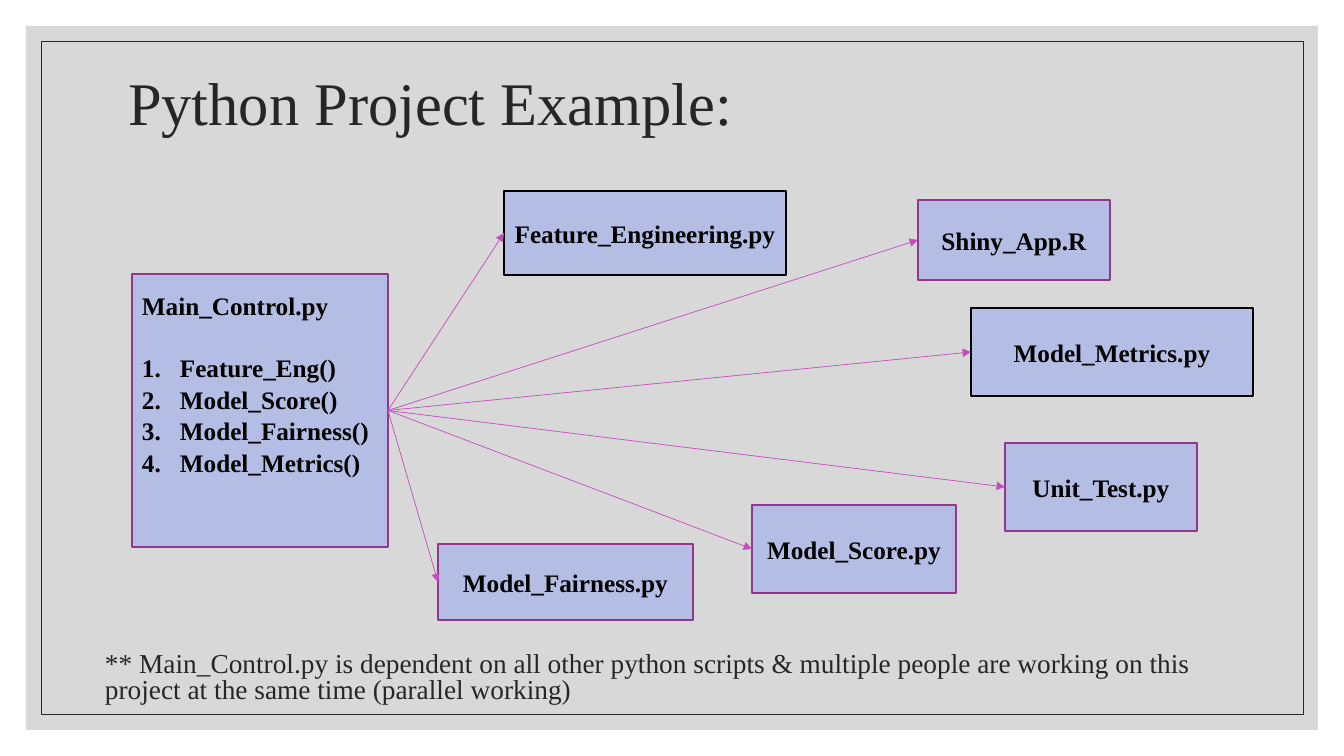
from lxml.etree import SubElement
from pptx import Presentation
from pptx.dml.color import RGBColor
from pptx.enum.shapes import MSO_CONNECTOR as Connector, MSO_SHAPE as Shape
from pptx.enum.text import MSO_ANCHOR as Anchor, MSO_AUTO_SIZE as AutoSize, PP_ALIGN as Align
from pptx.oxml.ns import qn
from pptx.util import Pt

EMU_PER_PX = 914400 / 100.8
FONT = "Times New Roman"
INK, BLACK = "262626", "000000"
PANEL, BOX, PLUM, PINK = "BFBFBF", "B4BDE3", "91388D", "C44CBF"
RIGHT, LEFT = 3, 1

MAIN_AREA = (132, 274, 256, 273)
STEPS = ["Feature_Eng()", "Model_Score()", "Model_Fairness()", "Model_Metrics()"]
SCRIPTS = [
    ("Unit_Test.py", (1005, 443, 192, 88), PLUM),
    ("Feature_Engineering.py", (504, 191, 282, 84), BLACK),
    ("Model_Score.py", (752, 505, 204, 88), PLUM),
    ("Shiny_App.R", (918, 200, 192, 80), PLUM),
    ("Model_Metrics.py", (971, 308, 282, 88), BLACK),
    ("Model_Fairness.py", (438, 544, 255, 76), PLUM),
]
FOOTNOTE = ("** Main_Control.py is dependent on all other python scripts & multiple "
            "people are working on this project at the same time (parallel working)")


def px(length):
    """Convert pixels to EMU."""
    return round(length * EMU_PER_PX)


def color(value):
    """Turn a hex string into a colour."""
    return RGBColor.from_string(value)


def write(paragraph, text, *, size=18, ink=BLACK, bold=False, align=Align.LEFT,
          spacing=None, after=0):
    """Put formatted text into a paragraph."""
    run = paragraph.add_run()
    run.text = text
    run.font.name = FONT
    run.font.size = Pt(size)
    run.font.bold = bold
    run.font.color.rgb = color(ink)
    paragraph.alignment = align
    paragraph.space_before = Pt(0)
    paragraph.space_after = Pt(after)
    if spacing:
        paragraph.line_spacing = spacing


def number(paragraph, indent=38):
    """Give a paragraph an automatic number with a hanging indent."""
    properties = paragraph._p.get_or_add_pPr()
    properties.set("marL", str(px(indent)))
    properties.set("indent", str(-px(indent)))
    SubElement(properties, qn("a:buFont"), typeface=FONT)
    SubElement(properties, qn("a:buAutoNum"), type="arabicPeriod")


def add_box(slide, area, *, fill=None, outline=None, weight=1, opacity=100):
    """Draw a rectangle with an optional fill and outline."""
    box = slide.shapes.add_shape(Shape.RECTANGLE, *map(px, area))
    box.shadow.inherit = False
    if fill:
        box.fill.solid()
        box.fill.fore_color.rgb = color(fill)
        if opacity < 100:
            tint = box.fill._xPr.find(qn("a:solidFill"))[0]
            SubElement(tint, qn("a:alpha"), val=str(opacity * 1000))
    else:
        box.fill.background()
    if outline:
        box.line.color.rgb = color(outline)
        box.line.width = Pt(weight)
    else:
        box.line.fill.background()
    return box


def add_title(slide, text):
    """Fill the title placeholder and bring it in front of the backdrop."""
    title = slide.shapes.title
    title.left, title.top, title.width, title.height = map(px, (118, 71, 1109, 70))
    frame = title.text_frame
    frame.auto_size = AutoSize.NONE
    frame.vertical_anchor = Anchor.MIDDLE
    write(frame.paragraphs[0], text, size=43.2, ink=INK, spacing=0.9)
    title.element.getparent().append(title.element)


def add_main_control(slide):
    """Draw the controlling script with its numbered steps."""
    main_control = add_box(slide, MAIN_AREA, fill=BOX, outline=PLUM)
    frame = main_control.text_frame
    frame.word_wrap = True
    frame.vertical_anchor = Anchor.TOP
    frame.margin_top = px(16)
    write(frame.paragraphs[0], "Main_Control.py", bold=True, after=23)
    for step in STEPS:
        entry = frame.add_paragraph()
        write(entry, step, bold=True, after=1)
        number(entry)
    return main_control


def add_script(slide, name, area, outline):
    """Draw a box for one dependent script."""
    script = add_box(slide, area, fill=BOX, outline=outline)
    frame = script.text_frame
    frame.word_wrap = False
    frame.vertical_anchor = Anchor.MIDDLE
    write(frame.paragraphs[0], name, bold=True, align=Align.CENTER)
    return script


def add_arrow(slide, source, target):
    """Join the right side of one box to the left side of another."""
    arrow = slide.shapes.add_connector(Connector.STRAIGHT, 0, 0, 0, 0)
    arrow.begin_connect(source, RIGHT)
    arrow.end_connect(target, LEFT)
    arrow.line.color.rgb = color(PINK)
    arrow.line.width = Pt(0.5)
    SubElement(arrow.line._get_or_add_ln(), qn("a:tailEnd"), type="triangle")
    SubElement(arrow._element.spPr, qn("a:effectLst"))


def add_footnote(slide, text):
    """Write the remark under the diagram."""
    frame = slide.shapes.add_textbox(*map(px, (95, 644, 1109, 70))).text_frame
    frame.word_wrap = True
    frame.vertical_anchor = Anchor.MIDDLE
    write(frame.paragraphs[0], text, size=19.5, ink=INK, spacing=0.8)


def main():
    """Build the slide and save it."""
    deck = Presentation()
    deck.slide_width, deck.slide_height = px(1344), px(756)
    slide = deck.slides.add_slide(deck.slide_layouts[5])
    add_box(slide, (26, 26, 1292, 704), fill=PANEL, opacity=60)
    add_box(slide, (41, 41, 1262, 673), outline=INK, weight=0.5)
    add_title(slide, "Python Project Example:")
    main_control = add_main_control(slide)
    for name, area, outline in SCRIPTS:
        script = add_script(slide, name, area, outline)
        add_arrow(slide, main_control, script)
    add_footnote(slide, FOOTNOTE)
    deck.save("out.pptx")


if __name__ == "__main__":
    main()
